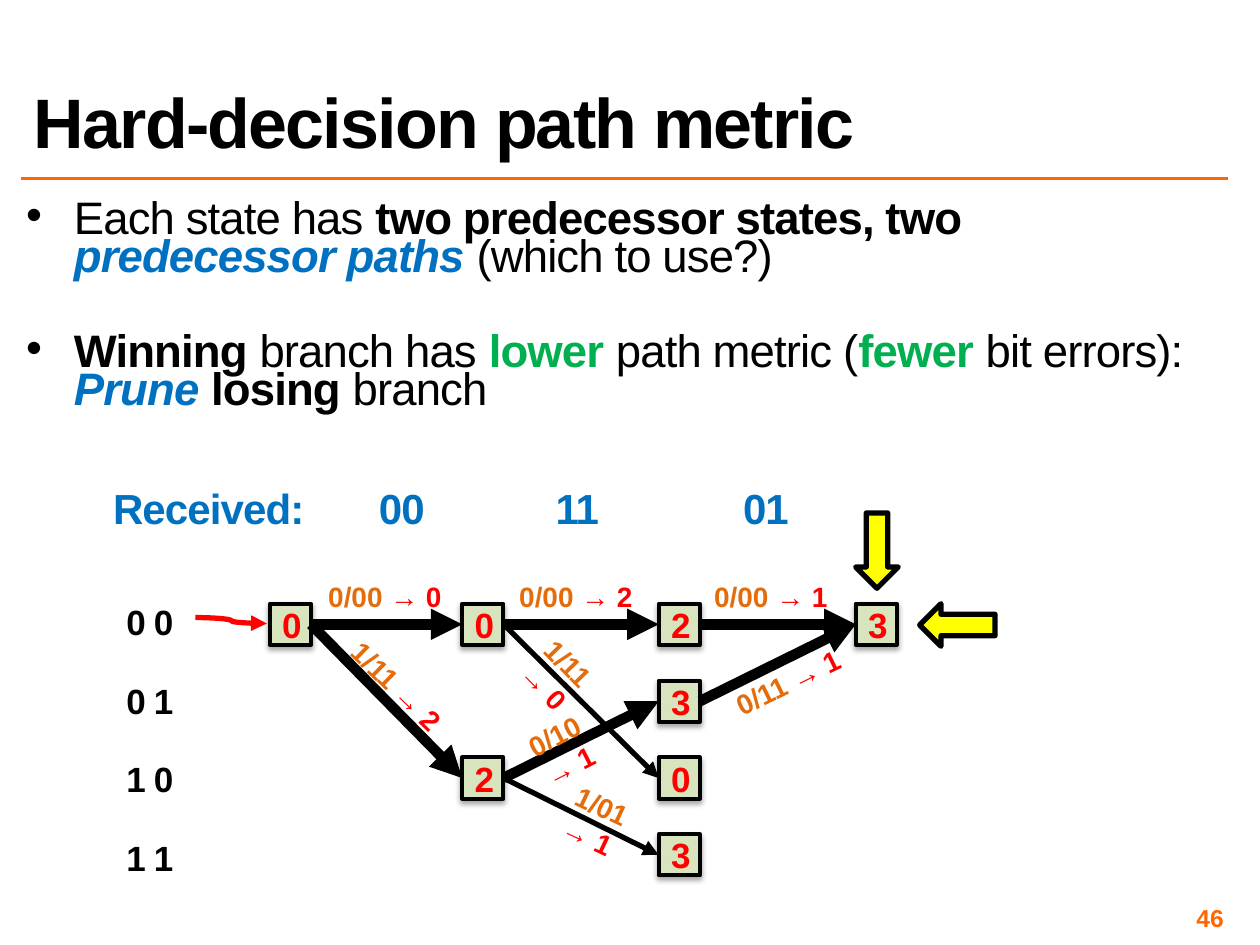
from lxml import etree
from pptx import Presentation
from pptx.dml.color import RGBColor
from pptx.enum import shapes, text
from pptx.oxml.ns import qn
from pptx.util import Cm, Pt

BLACK, RED, BLUE, GREEN = "000000", "FF0000", "0070C0", "00B050"
ORANGE, RUST, YELLOW, SAGE = "FF6600", "E46C0A", "FFFF00", "D7E4BD"
NODE = 0.83


def paint(target, color):
    """Colour a font, or make a fill solid in the colour."""
    if hasattr(target, "solid"):
        target.solid()
        target.fore_color.rgb = RGBColor.from_string(color)
    else:
        target.color.rgb = RGBColor.from_string(color)


def add_run(para, words, size, color=BLACK, bold=True, italic=False, spc=0):
    run = para.add_run()
    run.text = words
    font = run.font
    font.name, font.size, font.bold, font.italic = "Arial", Pt(size), bold, italic
    paint(font, color)
    if spc:
        run._r.get_or_add_rPr().set("spc", str(spc))


def add_box(slide, x, y, w, h, pad=0.1):
    box = slide.shapes.add_textbox(Cm(x), Cm(y), Cm(w), Cm(h))
    frame = box.text_frame
    frame.word_wrap = True
    frame.margin_left = frame.margin_right = Cm(pad)
    frame.margin_top = frame.margin_bottom = Cm(min(pad, 0.13))
    return box


def add_line(slide, kind, x1, y1, x2, y2, color, width, arrow=True):
    line = slide.shapes.add_connector(kind, Cm(x1), Cm(y1), Cm(x2), Cm(y2))
    paint(line.line.fill, color)
    line.line.width = Pt(width)
    if arrow:
        etree.SubElement(line.line._get_or_add_ln(), qn("a:tailEnd"), type="triangle")
    etree.SubElement(line._element.spPr, qn("a:effectLst"))
    return line


def add_shape(slide, kind, x, y, w, h, fill, width):
    shape = slide.shapes.add_shape(kind, Cm(x), Cm(y), Cm(w), Cm(h))
    paint(shape.fill, fill)
    paint(shape.line.fill, BLACK)
    shape.line.width = Pt(width)
    shape.shadow.inherit = False
    return shape


def add_node(slide, x, y, cost):
    node = add_shape(slide, shapes.MSO_SHAPE.RECTANGLE, x, y, NODE, NODE, SAGE, 2.25)
    glow = etree.SubElement(
        node._element.spPr.find(qn("a:effectLst")), qn("a:outerShdw"),
        blurRad=str(Pt(3.1)), dist=str(Pt(1.8)), dir="5400000", rotWithShape="0")
    tint = etree.SubElement(glow, qn("a:srgbClr"), val=BLACK)
    etree.SubElement(tint, qn("a:alpha"), val="35000")
    node.text_frame.vertical_anchor = text.MSO_ANCHOR.MIDDLE
    para = node.text_frame.paragraphs[0]
    para.alignment = text.PP_ALIGN.CENTER
    add_run(para, cost, 20, RED)
    return node


def add_label(slide, x, y, w, h, turn, bits, cost):
    """Branch label centred on (x, y)."""
    box = add_box(slide, x - w / 2, y - h / 2, w, h, 0.25)
    box.rotation = turn
    para = box.text_frame.paragraphs[0]
    para.alignment = text.PP_ALIGN.CENTER
    add_run(para, bits + " ", 16, RUST)
    add_run(para, "→ " + cost, 16, RED)


def add_title(slide, x, y, w, h):
    frame = add_box(slide, x, y, w, h, 0.25).text_frame
    frame.vertical_anchor = text.MSO_ANCHOR.BOTTOM
    para = frame.paragraphs[0]
    para.line_spacing = 0.8
    add_run(para, "Hard-decision path metric", 40, spc=-100)
    rule = y + h + 0.2
    add_line(slide, shapes.MSO_CONNECTOR.STRAIGHT, x, rule, x + w, rule, ORANGE, 2, False)


def add_bullets(slide, x, y, w, h):
    points = [
        [("Each state has ", BLACK, False, False),
         ("two predecessor states, two ", BLACK, True, False),
         ("predecessor paths ", BLUE, True, True),
         ("(which to use?)", BLACK, False, False)],
        [("Winning", BLACK, True, False), (" branch has ", BLACK, False, False),
         ("lower", GREEN, True, False), (" path metric (", BLACK, False, False),
         ("fewer", GREEN, True, False), (" bit errors): ", BLACK, False, False),
         ("Prune ", BLUE, True, True), ("losing", BLACK, True, False),
         (" branch", BLACK, False, False)],
    ]
    frame = add_box(slide, x, y, w, h).text_frame
    for i, point in enumerate(points):
        para = frame.add_paragraph() if i else frame.paragraphs[0]
        props = para._p.get_or_add_pPr()
        props.set("marL", str(Cm(0.96)))
        props.set("indent", str(Cm(-0.96)))
        etree.SubElement(props, qn("a:buFont"), typeface="Arial")
        etree.SubElement(props, qn("a:buChar"), char="•")
        para.line_spacing = 0.7
        if i:
            para.space_before = Pt(32.5)
        for words, color, bold, italic in point:
            add_run(para, words, 26, color, bold, italic, -50)


def add_received(slide, x, y, w, h):
    para = add_box(slide, x, y, w, h).text_frame.paragraphs[0]
    tabs = etree.SubElement(para._p.get_or_add_pPr(), qn("a:tabLst"))
    for stop in (5.36, 8.92, 12.7):
        etree.SubElement(tabs, qn("a:tab"), pos=str(Cm(stop)), algn="l")
    add_run(para, "Received:\t00\t11\t01", 24, BLUE, spc=-50)


def add_trellis(slide, x, y):
    for i, state in enumerate(("0 0", "0 1", "1 0", "1 1")):
        box = add_box(slide, x + 0.05, y + 1.59 * i, 1.5, 1.47)
        add_run(box.text_frame.paragraphs[0], state, 20, spc=-50)

    cols = (3.04, 6.92, 10.88, 14.85)
    costs = {(0, 0): "0", (1, 0): "0", (1, 2): "2", (2, 0): "2",
             (2, 1): "3", (2, 2): "0", (2, 3): "3", (3, 0): "3"}
    nodes = {(c, r): add_node(slide, x + cols[c], y + 0.17 + 1.55 * r, cost)
             for (c, r), cost in costs.items()}

    add_line(slide, shapes.MSO_CONNECTOR.CURVE, x + 1.54, y + 0.45,
             x + 2.98, y + 0.57, RED, 3)
    edges = [((0, 0), (1, 0), 6), ((0, 0), (1, 2), 6), ((1, 0), (2, 0), 6),
             ((1, 0), (2, 2), 3), ((1, 2), (2, 1), 6), ((1, 2), (2, 3), 3),
             ((2, 0), (3, 0), 6), ((2, 1), (3, 0), 6)]
    for start, end, width in edges:
        edge = add_line(slide, shapes.MSO_CONNECTOR.STRAIGHT, x, y, x, y, BLACK, width)
        edge.begin_connect(nodes[start], 3)
        edge.end_connect(nodes[end], 1)

    wide, tall = (3.1, 0.94), (1.75, 1.63)
    labels = [(5.36, 0.03, wide, 0, "0/00", "0"), (9.21, 0.03, wide, 0, "0/00", "2"),
              (13.14, 0.03, wide, 0, "0/00", "1"), (5.6, 1.83, wide, 44.2, "1/11", "2"),
              (13.48, 1.75, wide, -26.1, "0/11", "1"), (8.81, 1.61, tall, 45.7, "1/11", "0"),
              (8.93, 3.14, tall, -27.2, "0/10", "1"), (9.59, 4.56, tall, 25.3, "1/01", "1")]
    for left, top, size, turn, bits, cost in labels:
        add_label(slide, x + left, y + top, *size, turn, bits, cost)

    for left, top, turn in ((14.85, -1.66, 0), (16.47, -0.16, 90)):
        mark = add_shape(slide, shapes.MSO_SHAPE.DOWN_ARROW, x + left, y + top,
                         0.86, 1.52, YELLOW, 3)
        mark.rotation = turn


def add_number(slide, x, y, w, h):
    frame = add_box(slide, x, y, w, h).text_frame
    frame.vertical_anchor = text.MSO_ANCHOR.MIDDLE
    para = frame.paragraphs[0]
    para.alignment = text.PP_ALIGN.RIGHT
    add_run(para, "46", 14, ORANGE)


def main():
    deck = Presentation()
    deck.slide_width, deck.slide_height = Cm(25.4), Cm(19.05)
    slide = deck.slides.add_slide(deck.slide_layouts[6])
    add_title(slide, 0.43, 0.43, 24.33, 2.97)
    add_bullets(slide, 0.43, 4.01, 24.33, 4.55)
    add_received(slide, 2.18, 9.63, 19.8, 1.47)
    add_trellis(slide, 2.4, 12)
    add_number(slide, 18.85, 18.21, 5.92, 0.58)
    deck.save("out.pptx")


if __name__ == "__main__":
    main()
